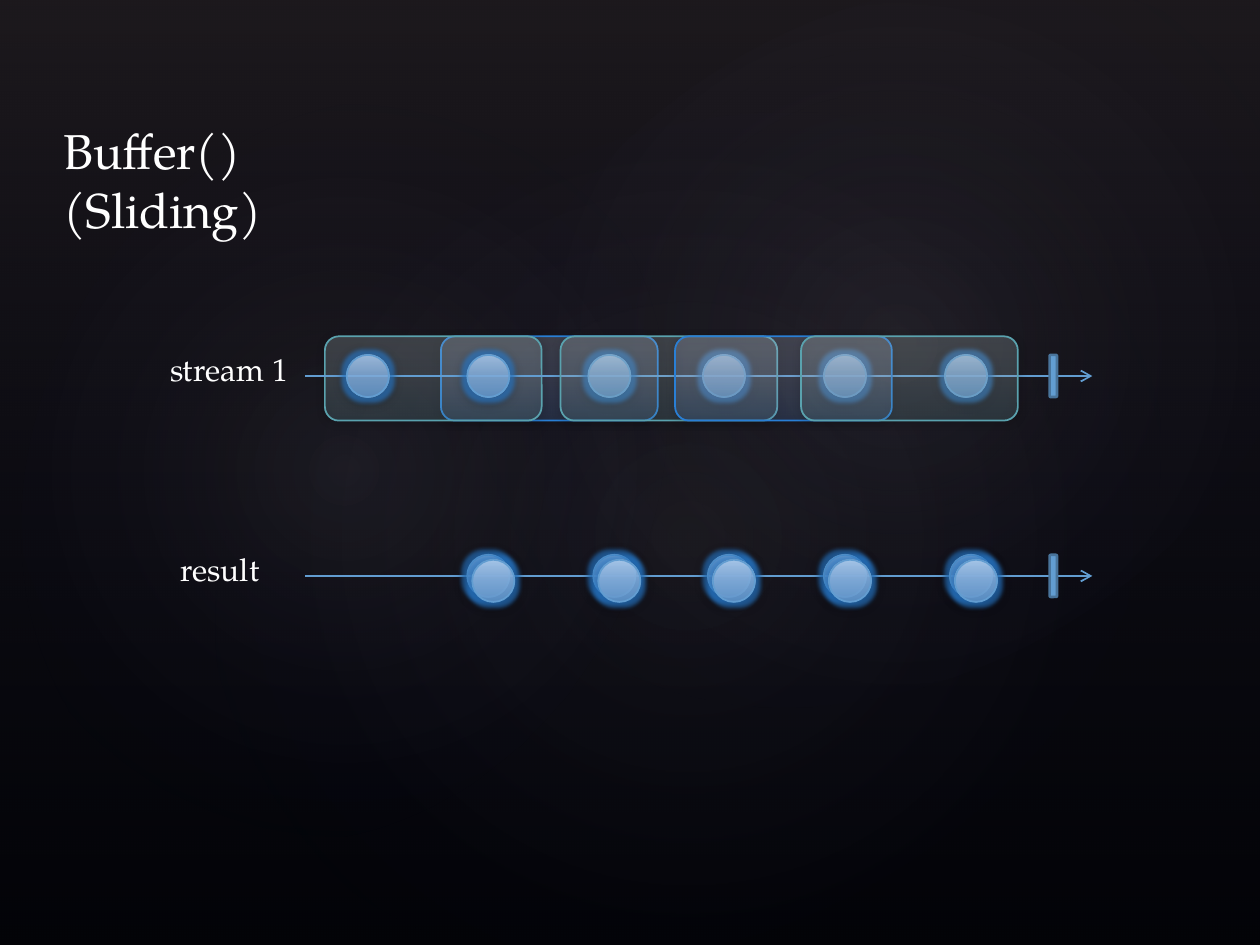
import pptx
import pptx.dml.color
import pptx.enum.shapes
import pptx.enum.text
import pptx.oxml
import pptx.oxml.ns
import pptx.util

Cm, Pt, RGB = pptx.util.Cm, pptx.util.Pt, pptx.dml.color.RGBColor
SHAPE = pptx.enum.shapes.MSO_SHAPE
qn = pptx.oxml.ns.qn
NAMESPACE = pptx.oxml.ns.nsdecls("a")

BLACK, WHITE = RGB(0, 0, 0), RGB(255, 255, 255)
SKY, STEEL = RGB(0x62, 0x9D, 0xD1), RGB(0x49, 0x74, 0x9B)
TEAL, BLUE = RGB(0x5A, 0xA2, 0xAE), RGB(0x29, 0x7F, 0xD5)
HAZE, NAVY, DUSK = RGB(0xC4, 0xBC, 0xC6), RGB(0x24, 0x28, 0x52), RGB(0x50, 0x46, 0x52)

# Gradient stops: position, colour, opacity (percent)
VEIL = [(0, DUSK, 36), (100, NAVY, 10)]
ITEM = [(0, RGB(0x7F, 0xAA, 0xD6), 58), (48, RGB(0xB8, 0xD1, 0xF0), 52),
        (100, RGB(0xDC, 0xEB, 0xFF), 65)]
TEAL_WINDOW = [(0, RGB(0x7A, 0xAE, 0xB8), 20), (48, RGB(0xB9, 0xD7, 0xDD), 20),
               (100, RGB(0xDD, 0xF2, 0xF6), 20)]
BLUE_WINDOW = [(0, RGB(0x63, 0x93, 0xDA), 20), (48, RGB(0xAD, 0xC4, 0xF4), 20),
               (100, RGB(0xDA, 0xE5, 0xFF), 20)]

DOWN = '<a:lin ang="5400000" scaled="0"/>'
UP = '<a:lin ang="16200000" scaled="0"/>'
RADIAL = ('<a:path path="circle"><a:fillToRect l="50000" t="50000" r="50000" b="50000"/>'
          '</a:path>')
SHADOW = ('<a:outerShdw blurRad="63500" dist="12700" dir="5400000" rotWithShape="0">'
          '<a:srgbClr val="000000"><a:alpha val="32000"/></a:srgbClr></a:outerShdw>')
GLOW = f'<a:glow rad="63500"><a:srgbClr val="{BLUE}"><a:alpha val="60000"/></a:srgbClr></a:glow>'

# Content, lengths in centimetres
TITLE = "Buffer()\v(Sliding)"
GLOWS = [((3.81, 2.9, 20.12, 15.85), 328.7, 7),
         ((-0.76, 3.25, 15.39, 12.45), 294.3, 8),
         ((9.09, 0.33, 18.01, 13.21), 328.7, 8)]
STREAMS = [
    {"label": "stream 1", "box": (3.18, 6.93, 2.92, 1.02), "middle": 7.58, "stack": 1,
     "items": [6.99, 9.42, 11.86, 14.17, 16.61, 19.05]},
    {"label": "result", "box": (3.38, 10.97, 2.13, 1.02), "middle": 11.61, "stack": 2,
     "items": [9.42, 11.96, 14.27, 16.61, 19.15]},
]
WINDOWS = [6.55, 8.89, 11.3, 13.61, 16.15]
DIAMETER, STACK_STEP = 0.85, 0.1
AXIS_START, AXIS_END, END_BAR = 6.15, 22.02, 21.16
TEXT_FORMAT = {"name": "TeX Gyre Pagella", "bold": False}


def add_part(kind, box, outline=None, width=1):
    """Add a preset shape without shadow, with or without an outline."""
    part = slide.shapes.add_shape(kind, *map(Cm, box))
    part.shadow.inherit = False
    if outline is None:
        part.line.fill.background()
    else:
        part.line.color.rgb = outline
        part.line.width = Pt(width)
    return part


def paint(part, stops, direction, effects=""):
    """Fill a shape with a translucent gradient and give it effects."""
    part.fill.background()
    marks = "".join(
        f'<a:gs pos="{place * 1000}"><a:srgbClr val="{colour}">'
        f'<a:alpha val="{opacity * 1000}"/></a:srgbClr></a:gs>'
        for place, colour, opacity in stops)
    gradient = pptx.oxml.parse_xml(
        f'<a:gradFill {NAMESPACE} rotWithShape="1"><a:gsLst>{marks}</a:gsLst>'
        f'{direction}</a:gradFill>')
    properties = part.element.spPr
    properties.replace(properties.find(qn("a:noFill")), gradient)
    properties.replace(
        properties.find(qn("a:effectLst")),
        pptx.oxml.parse_xml(f'<a:effectLst {NAMESPACE}>{effects}</a:effectLst>'))


def write(holder, words, size):
    """Put white, left-aligned text at the top of a text holder."""
    frame = holder.text_frame
    frame.text = words
    frame.vertical_anchor = pptx.enum.text.MSO_ANCHOR.TOP
    paragraph = frame.paragraphs[0]
    paragraph.alignment = pptx.enum.text.PP_ALIGN.LEFT
    for run in paragraph.runs:
        for attribute, value in {**TEXT_FORMAT, "size": Pt(size)}.items():
            setattr(run.font, attribute, value)
        run.font.color.rgb = WHITE


def add_window(number):
    """Add one sliding window; teal and blue alternate."""
    outline, stops = [(TEAL, TEAL_WINDOW), (BLUE, BLUE_WINDOW)][number % 2]
    window = add_part(SHAPE.ROUNDED_RECTANGLE, (WINDOWS[number], 6.78, 4.37, 1.7), outline)
    paint(window, stops, UP, SHADOW)


def add_axis(middle):
    """Add a time arrow and the bar that marks its completion."""
    axis = slide.shapes.add_connector(
        pptx.enum.shapes.MSO_CONNECTOR.STRAIGHT,
        Cm(AXIS_START), Cm(middle), Cm(AXIS_END), Cm(middle))
    axis.line.color.rgb = SKY
    axis.line.width = Pt(1)
    axis.line.fill.solid()
    axis.line.color.rgb = SKY
    properties = axis.element.spPr
    properties.find(qn("a:ln")).append(
        pptx.oxml.parse_xml(f'<a:tailEnd {NAMESPACE} type="arrow"/>'))
    properties.append(pptx.oxml.parse_xml(f'<a:effectLst {NAMESPACE}/>'))
    bar = add_part(SHAPE.ROUNDED_RECTANGLE,
                   (END_BAR, middle - DIAMETER / 2, 0.15, DIAMETER), STEEL, 1.5)
    bar.fill.solid()
    bar.fill.fore_color.rgb = SKY


def add_stream(stream):
    """Add a labelled stream with its items, stacked where buffered."""
    add_axis(stream["middle"])
    top = stream["middle"] - DIAMETER / 2
    for left in stream["items"]:
        for level in range(stream["stack"]):
            shift = level * STACK_STEP
            item = add_part(SHAPE.OVAL, (left + shift, top + shift, DIAMETER, DIAMETER), SKY)
            paint(item, ITEM, UP, GLOW + SHADOW)
    label = slide.shapes.add_textbox(*map(Cm, stream["box"]))
    label.text_frame.word_wrap = False
    write(label, stream["label"], 18)


deck = pptx.Presentation()
deck.slide_width, deck.slide_height = Cm(25.4), Cm(19.05)
slide = deck.slides.add_slide(deck.slide_layouts[5])
slide.background.fill.solid()
slide.background.fill.fore_color.rgb = BLACK

paint(add_part(SHAPE.RECTANGLE, (0, 0, 25.4, 19.05)), VEIL, DOWN)
for box, turn, opacity in GLOWS:
    light = add_part(SHAPE.OVAL, box)
    light.rotation = turn
    paint(light, [(0, HAZE, opacity), (58, NAVY, 0), (100, NAVY, 0)], RADIAL)

title = slide.shapes.title
title.element.getparent().append(title.element)
title.left, title.top, title.width, title.height = map(Cm, (1.02, 2.31, 8.23, 1.45))
title.text_frame.auto_size = pptx.enum.text.MSO_AUTO_SIZE.NONE
write(title, TITLE, 28)

# The first two windows lie behind the items, the others in front
for number in (1, 0):
    add_window(number)
for stream in STREAMS:
    add_stream(stream)
for number in range(2, len(WINDOWS)):
    add_window(number)

deck.save("out.pptx")
